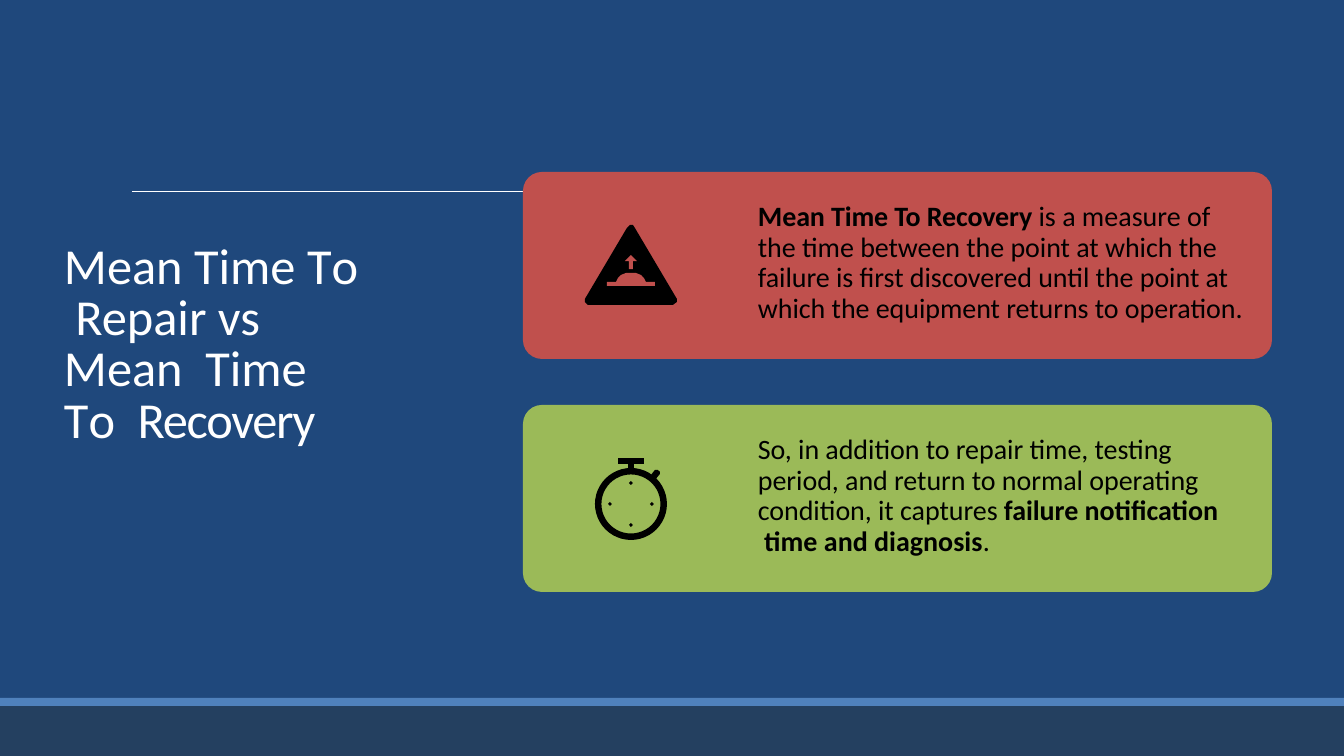
import math

import pptx
import pptx.dml.color
import pptx.enum.shapes
import pptx.enum.text
import pptx.oxml.ns
import pptx.util
from lxml import etree

# Content: lines of (text, bold, letter spacing in points)
TITLE = [
    [("Mean Time ", False, 0), ("T", False, -3.9), ("o", False, 0)],
    [(" Repair vs", False, 0)],
    [("Mean", False, 0), (" ", False, 8), ("Time", False, 0)],
    [("T", False, -3.9), ("o", False, 0), (" ", False, 8), ("Recovery", False, -0.9)],
]
CARDS = [
    ("recovery", [
        [("Mean Time To Recovery", True, -0.1), (" is a measure of", False, 0)],
        [("the time between the point at which the", False, -0.05)],
        [("failure is first discovered until the point at", False, -0.05)],
        [("which the equipment returns to operation.", False, -0.05)],
    ]),
    ("capture", [
        [("So, in addition to repair time, testing", False, -0.05)],
        [("period, and return to normal operating", False, -0.05)],
        [("condition, it captures ", False, -0.05), ("failure notification", True, -0.05)],
        [(" time and diagnosis", True, 0), (".", False, 0)],
    ]),
]

THEME = {
    "font": "Calibri", "title_size": 36, "body_size": 20,
    "background": "1F487C", "band": "4F81BC", "footer": "244060",
    "white": "FFFFFF", "black": "000000",
    "recovery": "C0504D", "capture": "9BBA58",
}

# Layout in px
WIDTH, HEIGHT = 1344, 756
BAND_TOP, FOOTER_TOP = 698, 706
CARD_LEFT, CARD_TOP, CARD_WIDTH, CARD_HEIGHT, CARD_PITCH = 523, 172, 749, 187, 233
CARD_RADIUS = 19
TEXT_LEFT, TEXT_OFFSET, TEXT_WIDTH, TEXT_HEIGHT = 757, 26, 492, 129
ICON_X = 631

SHAPES = pptx.enum.shapes.MSO_SHAPE


def px(length):
    return round(length * 914400 / 100.8)


def color(name):
    return pptx.dml.color.RGBColor.from_string(THEME[name])


def paint(shape, fill):
    shape.shadow.inherit = False
    shape.fill.solid()
    shape.fill.fore_color.rgb = color(fill)
    shape.line.fill.background()
    return shape


def add_preset(slide, kind, left, top, width, height, fill):
    shape = slide.shapes.add_shape(kind, px(left), px(top), px(width), px(height))
    return paint(shape, fill)


def add_outlines(slide, contours, fill):
    builder = slide.shapes.build_freeform(*contours[0][0], scale=px(1))
    for index, points in enumerate(contours):
        if index:
            builder.move_to(*points[0])
        builder.add_line_segments(points[1:], close=True)
    return paint(builder.convert_to_shape(), fill)


def add_text(slide, box, lines, size, fill, spacing, before, inset_top):
    frame = slide.shapes.add_textbox(*map(px, box)).text_frame
    frame.word_wrap = True
    frame.vertical_anchor = pptx.enum.text.MSO_ANCHOR.TOP
    frame.margin_left, frame.margin_top = px(1), px(inset_top)
    frame.margin_right = frame.margin_bottom = 0
    paragraph = frame.paragraphs[0]
    paragraph.line_spacing = spacing
    paragraph.space_before = pptx.util.Pt(before)
    paragraph.font.name = THEME["font"]
    paragraph.font.size = pptx.util.Pt(size)
    paragraph.font.color.rgb = color(fill)
    for index, line in enumerate(lines):
        if index:
            paragraph.add_line_break()
        for text, bold, tracking in line:
            run = paragraph.add_run()
            run.text = text
            run.font.bold = bold
            run.font._element.set("spc", str(round(tracking * 100)))


def add_warning_icon(slide):
    triangle = [(630, 225), (633, 225), (635, 228), (677, 299), (677, 302),
                (673, 305), (588, 305), (585, 302), (585, 299), (627, 228)]
    bump = [(607, 282), (616, 282), (618, 278), (621, 275), (626, 273), (636, 273),
            (641, 275), (644, 278), (646, 282), (655, 282), (655, 286), (607, 286)]
    add_outlines(slide, [triangle], "black")
    add_outlines(slide, [bump], "recovery")
    arrow = add_preset(slide, SHAPES.UP_ARROW, ICON_X - 6, 255, 12, 14, "recovery")
    arrow.adjustments[0] = 0.34
    arrow.adjustments[1] = 0.5


def add_stopwatch_icon(slide):
    center_y, radius, dot_orbit, dot_radius = 504, 36, 21, 2
    # Dial dots: octagons at the four quarter marks
    dots = [[(ICON_X + across * dot_orbit + dot_radius * math.cos(step * math.pi / 4),
              center_y + down * dot_orbit + dot_radius * math.sin(step * math.pi / 4))
             for step in range(8)]
            for across, down in [(-1, 0), (0, 1), (0, -1), (1, 0)]]
    add_outlines(slide, dots, "black")
    ring = add_preset(slide, SHAPES.DONUT, ICON_X - radius, center_y - radius,
                      2 * radius, 2 * radius, "black")
    ring.adjustments[0] = 0.09
    add_preset(slide, SHAPES.RECTANGLE, ICON_X - 13, 458, 26, 6, "black")
    add_preset(slide, SHAPES.RECTANGLE, ICON_X - 3, 464, 6, 6, "black")
    lever = [(651, 475), (655, 470), (658, 470), (660, 472), (660, 474), (655, 480)]
    add_outlines(slide, [lever], "black")


def main():
    presentation = pptx.Presentation()
    presentation.slide_width, presentation.slide_height = px(WIDTH), px(HEIGHT)
    slide = presentation.slides.add_slide(presentation.slide_layouts[6])

    # Background and footer bands
    for top, bottom, fill in [(0, BAND_TOP, "background"), (FOOTER_TOP, HEIGHT, "footer"),
                              (BAND_TOP, FOOTER_TOP, "band")]:
        add_preset(slide, SHAPES.RECTANGLE, 0, top, WIDTH, bottom - top, fill)

    # Rule running behind the first card
    rule = slide.shapes.add_connector(pptx.enum.shapes.MSO_CONNECTOR.STRAIGHT,
                                      px(132), px(191), px(1230), px(191))
    rule.line.color.rgb = color("white")
    rule.line.width = pptx.util.Pt(0.5)
    etree.SubElement(rule._element.spPr, pptx.oxml.ns.qn("a:effectLst"))

    # Title
    add_text(slide, (63, 233, 310, 218), TITLE, THEME["title_size"], "white", 0.85, 7.5, 10)

    # Cards with icons and text
    for index, ((fill, lines), add_icon) in enumerate(
            zip(CARDS, [add_warning_icon, add_stopwatch_icon])):
        top = CARD_TOP + index * CARD_PITCH
        card = add_preset(slide, SHAPES.ROUNDED_RECTANGLE, CARD_LEFT, top,
                          CARD_WIDTH, CARD_HEIGHT, fill)
        card.adjustments[0] = CARD_RADIUS / CARD_HEIGHT
        add_icon(slide)
        add_text(slide, (TEXT_LEFT, top + TEXT_OFFSET, TEXT_WIDTH, TEXT_HEIGHT), lines,
                 THEME["body_size"], "black", 0.91, 3, 4)

    presentation.save("out.pptx")


if __name__ == "__main__":
    main()
